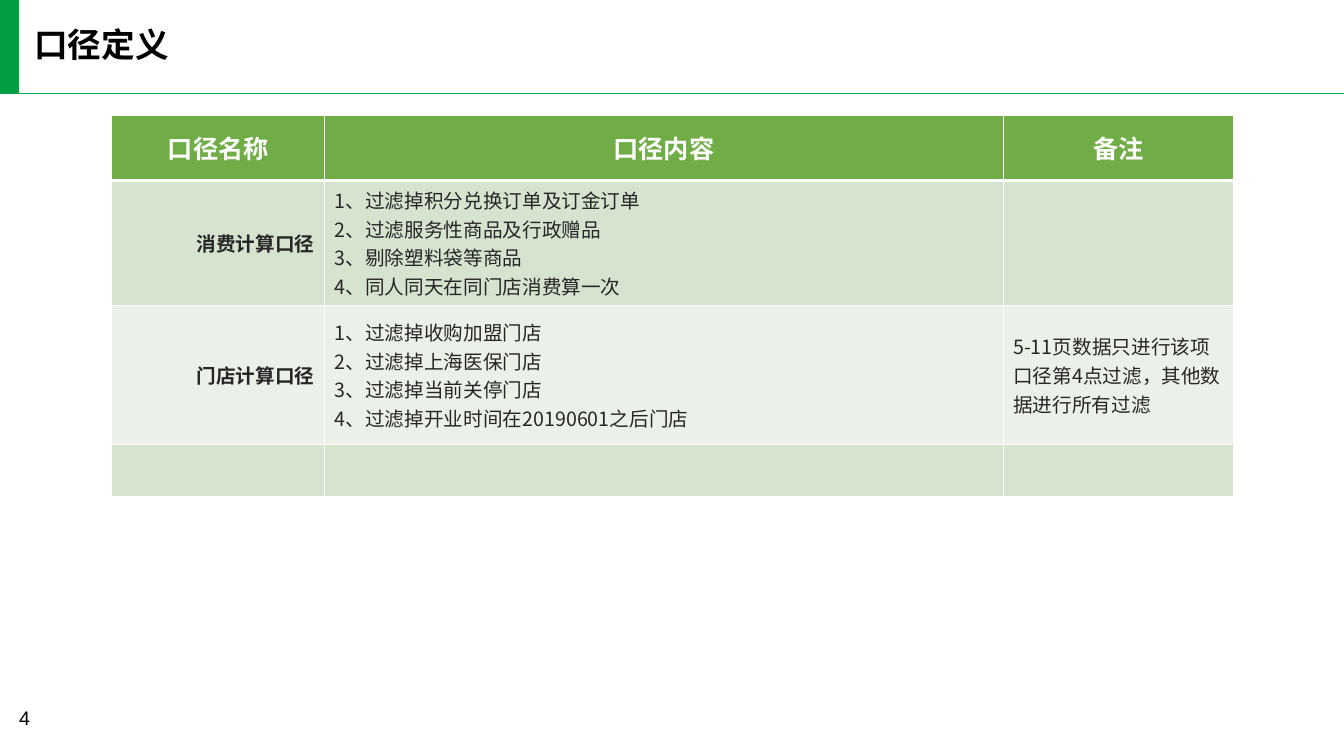
from lxml import etree
from pptx import Presentation
from pptx.dml.color import RGBColor
from pptx.enum.shapes import MSO_CONNECTOR, MSO_SHAPE
from pptx.enum.text import MSO_ANCHOR, PP_ALIGN
from pptx.oxml.ns import qn
from pptx.util import Inches, Pt

LEFT, CENTER, RIGHT = PP_ALIGN.LEFT, PP_ALIGN.CENTER, PP_ALIGN.RIGHT
MIDDLE, TOP = MSO_ANCHOR.MIDDLE, MSO_ANCHOR.TOP
RECTANGLE, STRAIGHT = MSO_SHAPE.RECTANGLE, MSO_CONNECTOR.STRAIGHT
CJK_FONT = "Noto Sans CJK SC"

# Content
TITLE = "口径定义"
PAGE_NUMBER = "4"
HEADER = ["口径名称", "口径内容", "备注"]
ROWS = [
    ["消费计算口径",
     ["1、过滤掉积分兑换订单及订金订单",
      "2、过滤服务性商品及行政赠品",
      "3、剔除塑料袋等商品",
      "4、同人同天在同门店消费算一次"],
     ""],
    ["门店计算口径",
     ["1、过滤掉收购加盟门店",
      "2、过滤掉上海医保门店",
      "3、过滤掉当前关停门店",
      "4、过滤掉开业时间在20190601之后门店"],
     "5-11页数据只进行该项口径第4点过滤，其他数据进行所有过滤"],
    ["", "", ""],
]

# Layout, in inches
SLIDE_WIDTH, SLIDE_HEIGHT = 13.33, 7.5
BAND_HEIGHT = 0.93
COLUMN_WIDTHS = [2.11, 6.73, 2.29]
ROW_HEIGHTS = [0.65, 1.24, 1.38, 0.52]
TABLE_LEFT, TABLE_TOP = 1.11, 1.14
HEADER_FILL, BAND_FILLS = "70AD47", ["D5E3CF", "EBF1E9"]


def color(value):
    return RGBColor.from_string(value)


def write(frame, text, size=14, font=CJK_FONT, fill="262626", bold=False,
          align=LEFT, spacing=None):
    """Fill a text frame with one paragraph per line."""
    lines = [text] if isinstance(text, str) else text
    for index, line in enumerate(lines):
        paragraph = frame.paragraphs[0] if index == 0 else frame.add_paragraph()
        paragraph.alignment = align
        if spacing:
            paragraph.line_spacing = spacing
        run = paragraph.add_run()
        run.text = line
        run.font.size, run.font.bold, run.font.name = Pt(size), bold, font
        run.font.color.rgb = color(fill)
        east_asian = etree.SubElement(run._r.get_or_add_rPr(), qn("a:ea"))
        east_asian.set("typeface", CJK_FONT)


def set_borders(cell, bottom=1):
    """Draw white cell borders; they come before the fill in the XML."""
    properties = cell._tc.get_or_add_tcPr()
    sides = {"lnL": 1, "lnR": 1, "lnT": 1, "lnB": bottom}
    for index, (side, width) in enumerate(sides.items()):
        line = etree.Element(qn(f"a:{side}"), w=str(Pt(width)))
        solid = etree.SubElement(line, qn("a:solidFill"))
        etree.SubElement(solid, qn("a:srgbClr"), val="FFFFFF")
        properties.insert(index, line)


presentation = Presentation()
presentation.slide_width = Inches(SLIDE_WIDTH)
presentation.slide_height = Inches(SLIDE_HEIGHT)
slide = presentation.slides.add_slide(presentation.slide_layouts[5])

# Title band: rule, title and green bar
rule = slide.shapes.add_connector(STRAIGHT, 0, Inches(BAND_HEIGHT),
                                  Inches(SLIDE_WIDTH), Inches(BAND_HEIGHT))
rule.line.color.rgb = color("00B050")
rule.line.width = Pt(1)
etree.SubElement(rule._element.spPr, qn("a:effectLst"))

title = slide.shapes.title
title.left, title.top = Inches(0.34), Inches(0.28)
title.width, title.height = Inches(6.29), Inches(0.36)
frame = title.text_frame
frame.margin_left = frame.margin_right = frame.margin_top = frame.margin_bottom = 0
frame.vertical_anchor = MIDDLE
write(frame, TITLE, size=24, fill="000000", bold=True, spacing=0.9)

bar = slide.shapes.add_shape(RECTANGLE, 0, 0, Inches(0.19), Inches(BAND_HEIGHT))
bar.shadow.inherit = False
bar.fill.solid()
bar.fill.fore_color.rgb = color("029E42")
bar.line.fill.background()

# Page number
number = slide.shapes.add_textbox(Inches(0.09), Inches(6.95), Inches(0.91), Inches(0.4))
number.text_frame.word_wrap = True
number.text_frame.vertical_anchor = TOP
write(number.text_frame, PAGE_NUMBER, font="Arial", fill="000000")

# Definition table
table = slide.shapes.add_table(
    len(ROW_HEIGHTS), len(COLUMN_WIDTHS), Inches(TABLE_LEFT), Inches(TABLE_TOP),
    Inches(sum(COLUMN_WIDTHS)), Inches(sum(ROW_HEIGHTS))).table
for column, width in zip(table.columns, COLUMN_WIDTHS):
    column.width = Inches(width)
for row, height in zip(table.rows, ROW_HEIGHTS):
    row.height = Inches(height)

for row_index, texts in enumerate([HEADER] + ROWS):
    is_header = row_index == 0
    for column_index, text in enumerate(texts):
        cell = table.cell(row_index, column_index)
        cell.vertical_anchor = MIDDLE
        cell.fill.solid()
        cell.fill.fore_color.rgb = color(
            HEADER_FILL if is_header else BAND_FILLS[(row_index - 1) % 2])
        set_borders(cell, bottom=3 if is_header else 1)
        if is_header:
            cell.margin_left = cell.margin_right = 0
            cell.margin_top = cell.margin_bottom = 0
            write(cell.text_frame, text, size=18, fill="FFFFFF", bold=True, align=CENTER)
        elif text:
            is_name = column_index == 0
            write(cell.text_frame, text, bold=is_name, align=RIGHT if is_name else LEFT)

presentation.save("out.pptx")
